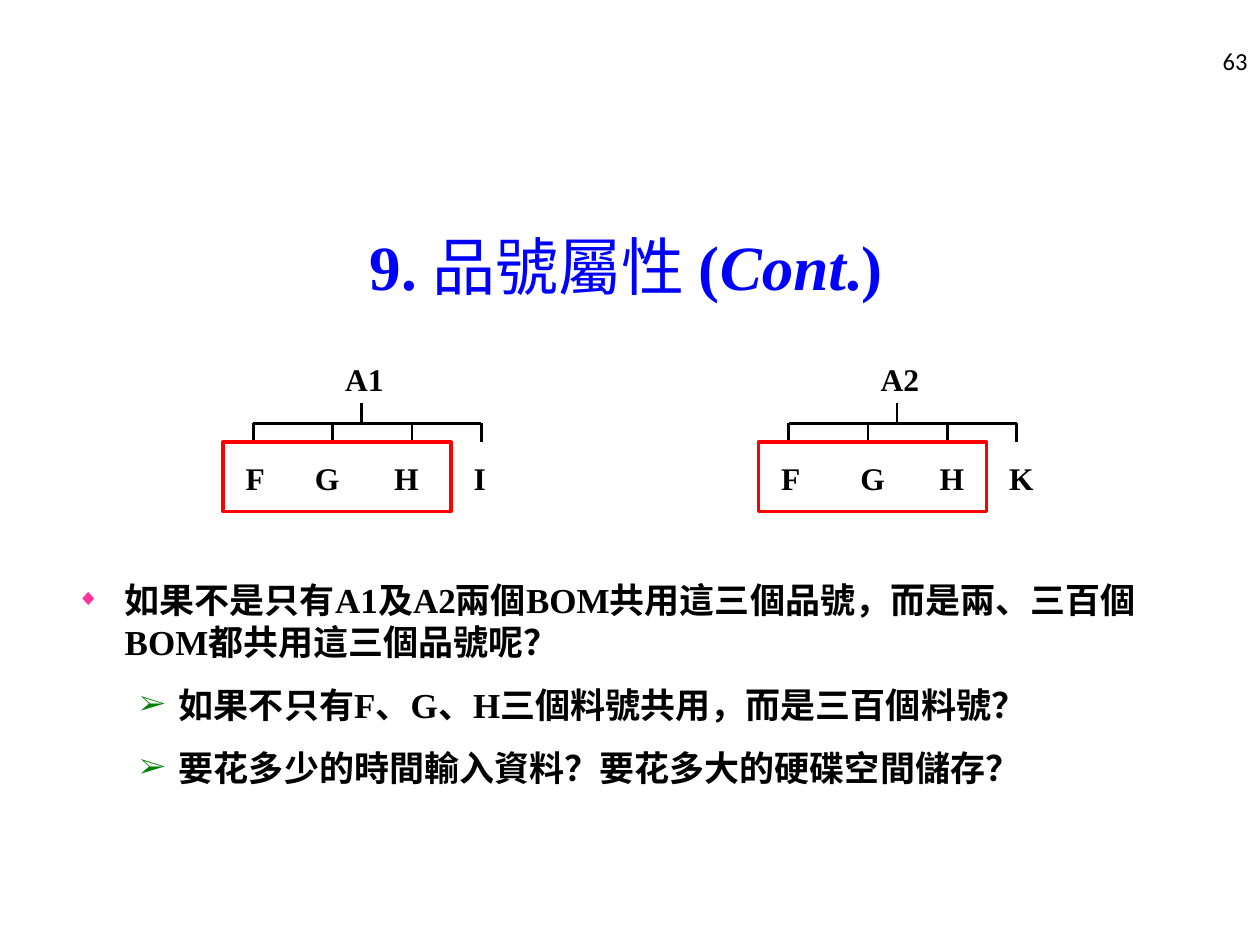
from lxml import etree
from pptx import Presentation
from pptx.dml.color import RGBColor
from pptx.enum.shapes import MSO_CONNECTOR, MSO_SHAPE
from pptx.enum.text import MSO_ANCHOR, MSO_AUTO_SIZE, PP_ALIGN
from pptx.oxml.ns import qn
from pptx.util import Inches, Pt

LINE = MSO_CONNECTOR.STRAIGHT
RECT = MSO_SHAPE.RECTANGLE
MIDDLE = MSO_ANCHOR.MIDDLE
NO_FIT = MSO_AUTO_SIZE.NONE
CENTER, LEFT, RIGHT = PP_ALIGN.CENTER, PP_ALIGN.LEFT, PP_ALIGN.RIGHT

BLACK = RGBColor(0, 0, 0)
WHITE = RGBColor(255, 255, 255)
BLUE = RGBColor(0, 0, 255)
RED = RGBColor(255, 0, 0)
PINK = RGBColor(255, 51, 153)
GREEN = RGBColor(0, 128, 0)

SERIF = "Times New Roman"
TITLE = {"name": SERIF, "size": Pt(36), "bold": True, "italic": False}
BODY = {"name": SERIF, "size": Pt(20), "bold": True}
LABEL = {"name": SERIF, "size": Pt(18), "bold": True}
PAGE = {"name": "Calibri", "size": Pt(14)}

HEAD = [
    ("9. ", {}),
    ("品號屬性 ", {"bold": False}),
    ("(", {}),
    ("Cont", {"italic": True}),
    (".)", {}),
]
MARKS = [("◆", PINK, 65, 0.38, 0.38), ("➢", GREEN, 80, 0.81, 0.31)]
ITEMS = [
    (0, "如果不是只有A1及A2兩個BOM共用這三個品號，而是兩、三百個BOM都共用這三個品號呢？"),
    (1, "如果不只有F、G、H三個料號共用，而是三百個料號？"),
    (1, "要花多少的時間輸入資料？要花多大的硬碟空間儲存？"),
]
TREES = [
    (1.77, "A1", [("F", 0.08), ("G", 0.63), ("H", 1.26), ("I", 1.89)]),
    (6.02, "A2", [("F", 0.08), ("G", 0.71), ("H", 1.34), ("K", 1.89)]),
]
STEM = 1.1
DROPS = [0.24, 0.87, 1.5, 2.05]
TOP, BAR, FOOT = 3.2, 3.36, 3.51


def style(font, form, color=BLACK):
    """Apply format values and a colour to a font."""
    for key, value in form.items():
        setattr(font, key, value)
    font.color.rgb = color


def place(shape, *box):
    """Move and size a shape in inches."""
    for key, value in zip(("left", "top", "width", "height"), box):
        setattr(shape, key, Inches(value))


def add_text(slide, text, box, form, align=LEFT):
    """Add a one-line text box."""
    frame = slide.shapes.add_textbox(*map(Inches, box)).text_frame
    frame.word_wrap = True
    para = frame.paragraphs[0]
    para.alignment = align
    run = para.add_run()
    run.text = text
    style(run.font, form)
    return frame


def add_line(slide, *ends):
    """Add a thin black line without a shadow."""
    line = slide.shapes.add_connector(LINE, *map(Inches, ends))
    line.line.width = Pt(1.5)
    line.line.color.rgb = BLACK
    etree.SubElement(line._element.spPr, qn("a:effectLst"))


def add_mark(para, level):
    """Give a paragraph its bullet and hanging indent."""
    char, color, size, left, hang = MARKS[level]
    props = para._p.get_or_add_pPr()
    props.set("marL", str(Inches(left)))
    props.set("indent", str(-Inches(hang)))
    tint = etree.SubElement(props, qn("a:buClr"))
    etree.SubElement(tint, qn("a:srgbClr"), val=str(color))
    etree.SubElement(props, qn("a:buSzPct"), val=str(size * 1000))
    etree.SubElement(props, qn("a:buFont"), typeface=SERIF)
    etree.SubElement(props, qn("a:buChar"), char=char)


def fill_title(shape):
    """Write the title in mixed styles."""
    place(shape, 0.47, 1.48, 9, 1.25)
    frame = shape.text_frame
    frame.auto_size = NO_FIT
    frame.vertical_anchor = MIDDLE
    para = frame.paragraphs[0]
    para.alignment = CENTER
    for text, extra in HEAD:
        run = para.add_run()
        run.text = text
        style(run.font, TITLE | extra, BLUE)


def fill_body(shape):
    """Write the bulleted questions."""
    place(shape, 0.51, 4.54, 8.99, 2.16)
    shape.fill.solid()
    shape.fill.fore_color.rgb = WHITE
    frame = shape.text_frame
    frame.auto_size = NO_FIT
    for i, (level, text) in enumerate(ITEMS):
        para = frame.add_paragraph() if i else frame.paragraphs[0]
        para.level = level
        add_mark(para, level)
        para.line_spacing = Pt(24)
        para.space_before = Pt(12 if i else 0)
        run = para.add_run()
        run.text = text
        style(run.font, BODY)


def add_tree(slide, left, root, parts):
    """Draw a root, its branches and its part labels."""
    add_text(slide, root, (left + 0.87, 2.81, 0.55, 0.4), LABEL)
    add_line(slide, left + STEM, TOP, left + STEM, BAR)
    add_line(slide, left + DROPS[0], BAR, left + DROPS[-1], BAR)
    for drop in DROPS:
        add_line(slide, left + drop, BAR, left + drop, FOOT)
    for text, gap in parts:
        add_text(slide, text, (left + gap, 3.59, 0.39, 0.4), LABEL)


def add_frame(slide, left):
    """Outline the shared parts in red."""
    box = slide.shapes.add_shape(RECT, *map(Inches, (left, FOOT, 1.81, 0.55)))
    box.shadow.inherit = False
    box.fill.background()
    box.line.color.rgb = RED
    box.line.width = Pt(2.25)


def main():
    """Build and save the slide."""
    deck = Presentation()
    deck.slide_width, deck.slide_height = Inches(10), Inches(7.5)
    slide = deck.slides.add_slide(deck.slide_layouts[1])
    fill_title(slide.shapes.title)
    fill_body(slide.placeholders[1])
    page = add_text(slide, "63", (7.67, 0.28, 2.33, 0.4), PAGE, RIGHT)
    page.vertical_anchor = MIDDLE
    for left, root, parts in TREES:
        add_tree(slide, left, root, parts)
        add_frame(slide, left)
    deck.save("out.pptx")


if __name__ == "__main__":
    main()
